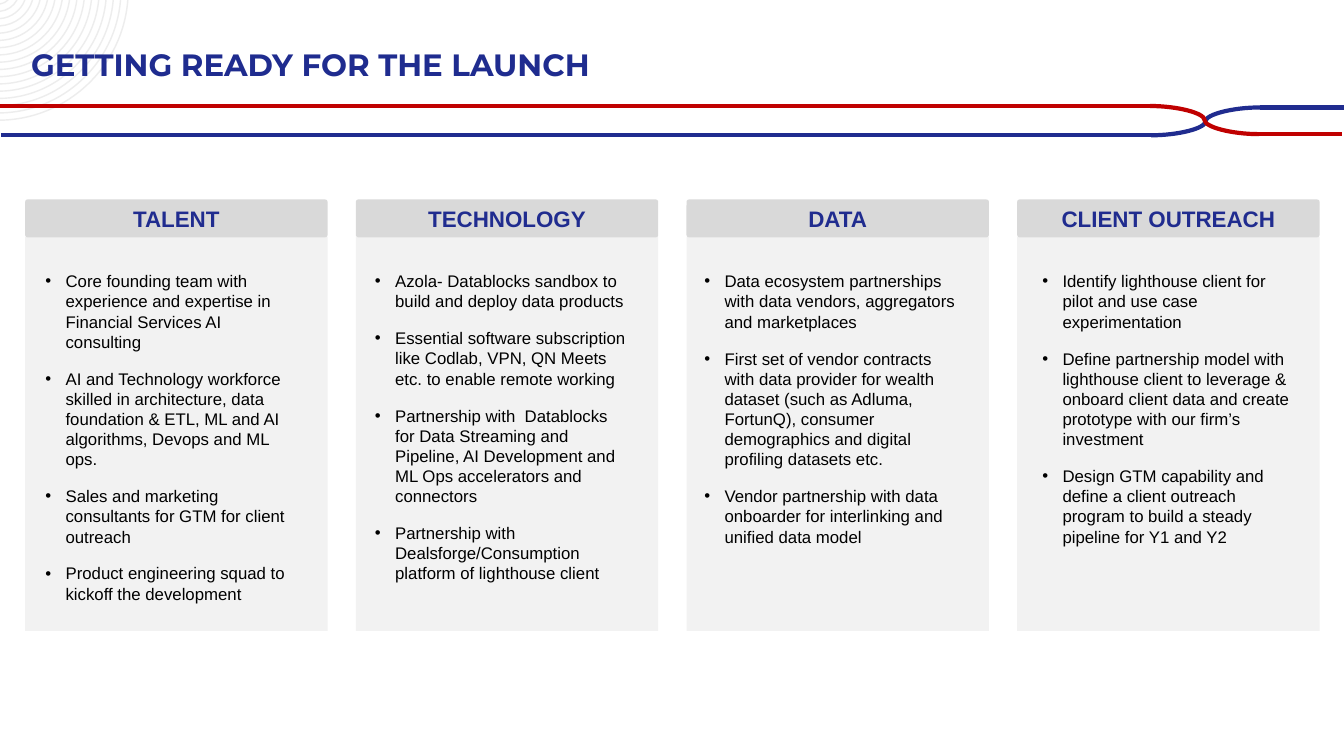
from dataclasses import dataclass
from math import acos, asin, cos, sin, tan

from lxml import etree
from pptx import Presentation
from pptx.dml.color import RGBColor
from pptx.enum.shapes import MSO_CONNECTOR, MSO_SHAPE
from pptx.enum.text import MSO_ANCHOR, MSO_AUTO_SIZE, PP_ALIGN
from pptx.oxml.ns import qn
from pptx.util import Pt

STRAIGHT, CURVE = MSO_CONNECTOR.STRAIGHT, MSO_CONNECTOR.CURVE
RECT, ROUND_RECT = MSO_SHAPE.RECTANGLE, MSO_SHAPE.ROUNDED_RECTANGLE
MIDDLE, LEFT, CENTER = MSO_ANCHOR.MIDDLE, PP_ALIGN.LEFT, PP_ALIGN.CENTER
FIT_SHAPE, NO_FIT = MSO_AUTO_SIZE.SHAPE_TO_FIT_TEXT, MSO_AUTO_SIZE.NONE

NAVY = RGBColor(0x20, 0x2C, 0x8F)
TITLE_BLUE = RGBColor(0x1F, 0x2C, 0x8F)
RED = RGBColor(0xC0, 0x00, 0x00)
BLACK = RGBColor(0x00, 0x00, 0x00)
RING_GREY = RGBColor(0xED, 0xED, 0xED)
PANEL_GREY = RGBColor(0xF2, 0xF2, 0xF2)
HEADER_GREY = RGBColor(0xD9, 0xD9, 0xD9)

# Column grid, in points
COL_LEFT, COL_PITCH, COL_WIDTH = 18, 236.2, 216
HEADER_TOP, HEADER_HEIGHT = 142.5, 27
PANEL_TOP, PANEL_HEIGHT = 169.2, 281.5
BODY_TOP, BODY_WIDTH, INDENT = 190, 194.4, 14.4


@dataclass
class Stroke:
    kind: MSO_CONNECTOR
    x1: float
    y1: float
    x2: float
    y2: float
    color: RGBColor


@dataclass
class Column:
    heading: str
    body_left: float
    body_height: float
    bullets: list[str]


STROKES = [
    Stroke(STRAIGHT, 0.7, 96.5, 823, 96.5, NAVY),
    Stroke(CURVE, 822.2, 96.7, 900, 76.8, NAVY),
    Stroke(STRAIGHT, 900, 76.8, 960, 76.8, NAVY),
    Stroke(STRAIGHT, 0, 75.7, 822.2, 75.7, RED),
    Stroke(CURVE, 821.5, 75.7, 899.3, 95.8, RED),
    Stroke(STRAIGHT, 898.6, 96, 958.5, 96, RED),
]

COLUMNS = [
    Column("TALENT", 25.4, 247, [
        "Core founding team with experience and expertise in Financial Services AI consulting",
        "AI and Technology workforce skilled in architecture, data foundation & ETL, "
        "ML and AI algorithms, Devops and ML ops.",
        "Sales and marketing consultants for GTM for client outreach",
        "Product engineering squad to kickoff the development",
    ]),
    Column("TECHNOLOGY", 260.8, 232.6, [
        "Azola- Datablocks sandbox to build and deploy data products",
        "Essential software subscription like Codlab, VPN, QN Meets etc. to enable remote working",
        "Partnership with  Datablocks for Data Streaming and Pipeline, AI Development "
        "and ML Ops accelerators and connectors",
        "Partnership with Dealsforge/Consumption platform of lighthouse client",
    ]),
    Column("DATA", 496.1, 206, [
        "Data ecosystem partnerships with data vendors, aggregators and marketplaces",
        "First set of vendor contracts with data provider for wealth dataset (such as Adluma, "
        "FortunQ), consumer demographics and digital profiling datasets etc.",
        "Vendor partnership with data onboarder for interlinking and unified data model",
    ]),
    Column("CLIENT OUTREACH", 737.5, 206, [
        "Identify lighthouse client for pilot and use case experimentation",
        "Define partnership model with lighthouse client to leverage & onboard client data "
        "and create prototype with our firm’s investment",
        "Design GTM capability and define a client outreach program to build a steady "
        "pipeline for Y1 and Y2",
    ]),
]


def write(p, text: str, *, size: float, color: RGBColor, font: str = "Arial",
          bold: bool = False, align: PP_ALIGN = LEFT, spacing: float = 1.0,
          after: float = 0, bullet: bool = False) -> None:
    p.alignment, p.line_spacing = align, spacing
    p.space_before, p.space_after = Pt(0), Pt(after)
    r = p.add_run()
    r.text = text
    r.font.name, r.font.size, r.font.bold = font, Pt(size), bold
    r.font.color.rgb = color
    if bullet:
        props = p._p.get_or_add_pPr()
        props.set("marL", str(Pt(INDENT)))
        props.set("indent", str(-Pt(INDENT)))
        etree.SubElement(props, qn("a:buFont")).set("typeface", "Arial")
        etree.SubElement(props, qn("a:buChar")).set("char", "•")


def paint(sp, color: RGBColor) -> None:
    sp.shadow.inherit = False
    sp.fill.solid()
    sp.fill.fore_color.rgb = color
    sp.line.fill.background()


def add_box(slide, kind: MSO_SHAPE, left: float, top: float, width: float,
            height: float, color: RGBColor):
    sp = slide.shapes.add_shape(kind, Pt(left), Pt(top), Pt(width), Pt(height))
    paint(sp, color)
    return sp


def add_stroke(slide, stroke: Stroke) -> None:
    line = slide.shapes.add_connector(
        stroke.kind, Pt(stroke.x1), Pt(stroke.y1), Pt(stroke.x2), Pt(stroke.y2))
    line.line.color.rgb, line.line.width = stroke.color, Pt(3)
    etree.SubElement(line._element.spPr, qn("a:effectLst"))


def ring_arc(radius: float, units: int) -> list[tuple[float, float]]:
    """Bezier start, two handles and end of a corner ring's visible arc."""
    cx, cy = -1.5, -7.2
    a, b = asin(-cy / radius), acos(-cx / radius)
    k = 4 / 3 * tan((b - a) / 4)
    arc = [(cos(a), sin(a)), (cos(a) - k * sin(a), sin(a) + k * cos(a)),
           (cos(b) + k * sin(b), sin(b) - k * cos(b)), (cos(b), sin(b))]
    return [((cx + radius * x) * units, (cy + radius * y) * units) for x, y in arc]


def bend_arcs(sp) -> None:
    """Turn the line segments of both arcs of each ring into curves."""
    for start in list(sp._element.iter(qn("a:moveTo"))):
        segments = list(start.itersiblings(qn("a:lnTo")))[:7]
        for arc in (segments[:3], segments[4:]):
            curve = etree.Element(qn("a:cubicBezTo"))
            arc[0].addprevious(curve)
            for segment in arc:
                curve.append(segment[0])
                segment.getparent().remove(segment)


def add_rings(slide) -> None:
    count, outer, pitch, thickness, units = 17, 93.6, 5.18, 1, 100
    builder = None
    for i in range(count):
        radius = outer - i * pitch
        points = ring_arc(radius, units) + ring_arc(radius - thickness, units)[::-1]
        if builder is None:
            builder = slide.shapes.build_freeform(*points[0], scale=Pt(1) / units)
        else:
            builder.move_to(*points[0])
        builder.add_line_segments(points[1:], close=True)
    sp = builder.convert_to_shape()
    bend_arcs(sp)
    paint(sp, RING_GREY)


def add_column(slide, column: Column, left: float) -> None:
    add_box(slide, RECT, left, PANEL_TOP, COL_WIDTH, PANEL_HEIGHT, PANEL_GREY)
    header = add_box(slide, ROUND_RECT, left, HEADER_TOP, COL_WIDTH, HEADER_HEIGHT, HEADER_GREY)
    header.adjustments[0] = 0.065
    tf = header.text_frame
    tf.vertical_anchor = MIDDLE
    write(tf.paragraphs[0], column.heading, size=16, color=NAVY, bold=True, align=CENTER)

    body = slide.shapes.add_textbox(
        Pt(column.body_left), Pt(BODY_TOP), Pt(BODY_WIDTH), Pt(column.body_height))
    tf = body.text_frame
    tf.word_wrap, tf.auto_size = True, FIT_SHAPE
    for i, text in enumerate(column.bullets):
        p = tf.add_paragraph() if i else tf.paragraphs[0]
        write(p, text, size=12, color=BLACK, after=12, bullet=True)


def add_title(slide, text: str) -> None:
    sp = slide.shapes.title
    sp.left, sp.top, sp.width, sp.height = Pt(15), Pt(23.2), Pt(566.6), Pt(49)
    tf = sp.text_frame
    tf.word_wrap, tf.auto_size, tf.vertical_anchor = True, NO_FIT, MIDDLE
    write(tf.paragraphs[0], text, size=22, color=TITLE_BLUE, font="Montserrat",
          bold=True, spacing=0.9)
    # Bring the title in front of the rings
    slide.shapes._spTree.append(sp._element)


def main() -> None:
    prs = Presentation()
    prs.slide_width, prs.slide_height = Pt(960), Pt(540)
    slide = prs.slides.add_slide(prs.slide_layouts[5])

    # Corner rings and the crossing double rule
    add_rings(slide)
    for stroke in STROKES:
        add_stroke(slide, stroke)

    # Four columns
    for i, column in enumerate(COLUMNS):
        add_column(slide, column, COL_LEFT + i * COL_PITCH)

    add_title(slide, "GETTING READY FOR THE LAUNCH")
    prs.save("out.pptx")


if __name__ == "__main__":
    main()
